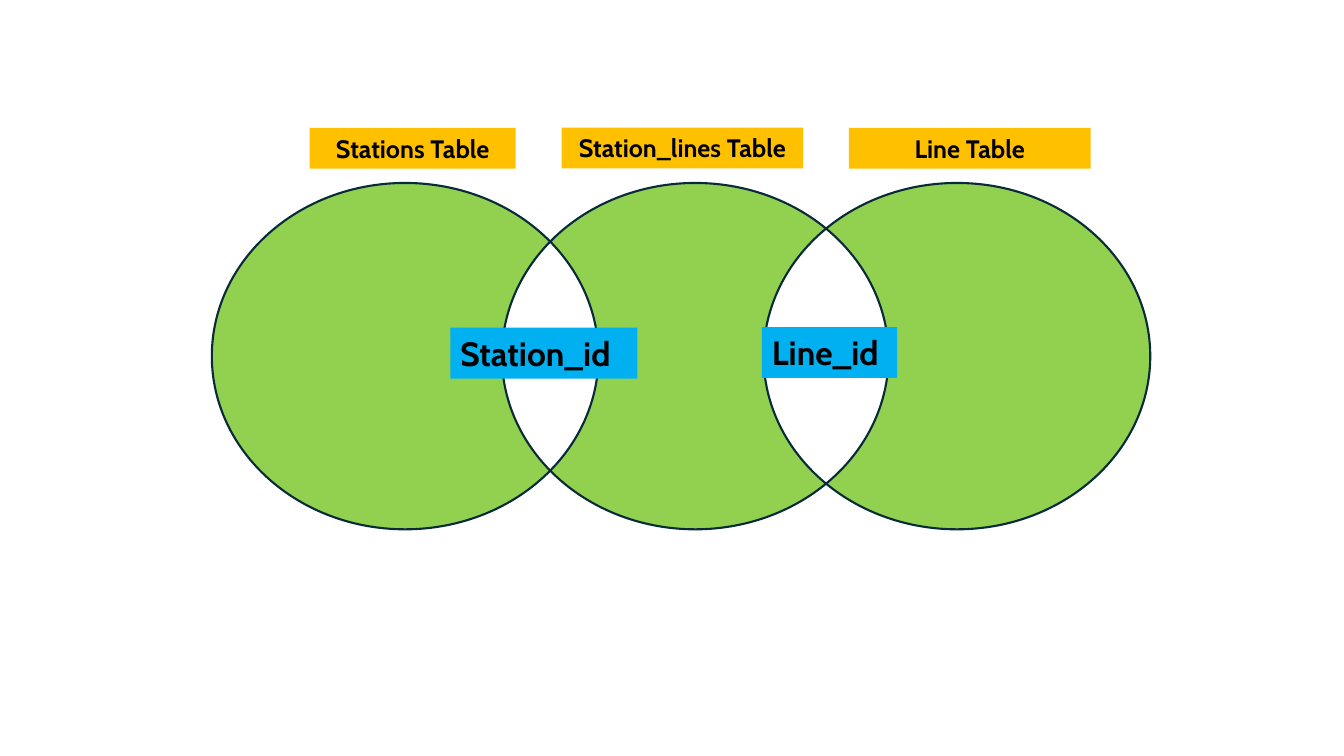
"""Builds a slide showing three joined tables as overlapping ellipses."""

import dataclasses
import itertools
import math

import pptx
import pptx.dml.color
import pptx.enum.text
import pptx.oxml.ns
import pptx.shapes.autoshape
import pptx.slide
import pptx.util

Point = tuple[int, int]


@dataclasses.dataclass(frozen=True)
class Theme:
    font: str = "Cabin"
    table_size: float = 18
    key_size: float = 24
    text: str = "000000"
    table_fill: str = "FFC000"
    key_fill: str = "00B0F0"
    ellipse_fill: str = "92D050"
    ellipse_line: str = "092A39"
    line_width: float = 1.5


@dataclasses.dataclass(frozen=True)
class Label:
    text: str
    left: float
    top: float
    width: float
    height: float
    size: float
    fill: str
    align: pptx.enum.text.PP_ALIGN


THEME = Theme()
CENTERS_X = (289.4, 496.6, 683.5)
CENTER_Y = 254.4
RADIUS_X = 138.1
RADIUS_Y = 123.7
QUARTER = math.pi / 2

LEFT = pptx.enum.text.PP_ALIGN.LEFT
CENTER = pptx.enum.text.PP_ALIGN.CENTER
LABELS = (
    Label("Station_id", 321.7, 234.1, 133.6, 36.35, THEME.key_size, THEME.key_fill, LEFT),
    Label("Line_id", 544.3, 233.6, 96.5, 36.35, THEME.key_size, THEME.key_fill, LEFT),
    Label("Stations Table", 221.2, 91.4, 147.2, 29.1, THEME.table_size, THEME.table_fill, CENTER),
    Label("Station_lines Table", 401.2, 91.1, 172.5, 29.1, THEME.table_size, THEME.table_fill, CENTER),
    Label("Line Table", 606.4, 91.4, 172.6, 29.1, THEME.table_size, THEME.table_fill, CENTER),
)


def color(value: str) -> pptx.dml.color.RGBColor:
    return pptx.dml.color.RGBColor.from_string(value)


def rim_point(center_x: float, angle: float, handle: float = 0) -> Point:
    """Return a rim point, moved along its tangent by the handle length."""
    across = math.cos(angle) - handle * math.sin(angle)
    down = math.sin(angle) + handle * math.cos(angle)
    return pptx.util.Pt(center_x + RADIUS_X * across), pptx.util.Pt(CENTER_Y + RADIUS_Y * down)


def arc(center_x: float, start: float, end: float) -> list[Point]:
    """Return two handles and an end point for each curve, split at quarter turns."""
    quarters = [step * QUARTER for step in range(5)]
    low, high = min(start, end), max(start, end)
    inner = [angle for angle in quarters if low < angle < high]
    angles = [start, *(inner if start < end else reversed(inner)), end]
    points: list[Point] = []
    for begin, finish in itertools.pairwise(angles):
        handle = 4 / 3 * math.tan((finish - begin) / 4)
        points += [
            rim_point(center_x, begin, handle),
            rim_point(center_x, finish, -handle),
            rim_point(center_x, finish),
        ]
    return points


def crossing_angle(first_x: float, second_x: float) -> float:
    return math.acos((second_x - first_x) / 2 / RADIUS_X)


def contour(index: int) -> list[Point]:
    """Outline one ellipse without the parts its neighbours overlap."""
    center_x = CENTERS_X[index]
    left_angle = right_angle = 0.0
    left_notch: list[Point] = []
    right_notch: list[Point] = []
    if index > 0:
        left_x = CENTERS_X[index - 1]
        left_angle = crossing_angle(left_x, center_x)
        left_notch = arc(left_x, left_angle, -left_angle)
    if index < len(CENTERS_X) - 1:
        right_x = CENTERS_X[index + 1]
        right_angle = crossing_angle(center_x, right_x)
        right_notch = arc(right_x, math.pi + right_angle, math.pi - right_angle)
    start = rim_point(center_x, right_angle)
    lower = arc(center_x, right_angle, math.pi - left_angle)
    upper = arc(center_x, math.pi + left_angle, 2 * math.pi - right_angle)
    return [start, *lower, *left_notch, *upper, *right_notch]


def curve_outline(shape: pptx.shapes.autoshape.Shape) -> None:
    """Turn every three line segments into one cubic curve."""
    segments = shape.element.xpath(".//a:lnTo")
    for first, second, third in zip(segments[::3], segments[1::3], segments[2::3]):
        first.tag = pptx.oxml.ns.qn("a:cubicBezTo")
        for segment in (second, third):
            first.append(segment[0])
            segment.getparent().remove(segment)


def draw_ellipses(page: pptx.slide.Slide) -> None:
    first, *others = [contour(index) for index in range(len(CENTERS_X))]
    builder = page.shapes.build_freeform(*first[0])
    builder.add_line_segments(first[1:], close=True)
    for outline in others:
        builder.move_to(*outline[0])
        builder.add_line_segments(outline[1:], close=True)
    ellipses = builder.convert_to_shape()
    curve_outline(ellipses)
    ellipses.shadow.inherit = False
    ellipses.fill.solid()
    ellipses.fill.fore_color.rgb = color(THEME.ellipse_fill)
    ellipses.line.color.rgb = color(THEME.ellipse_line)
    ellipses.line.width = pptx.util.Pt(THEME.line_width)


def draw_label(page: pptx.slide.Slide, label: Label) -> None:
    bounds = (label.left, label.top, label.width, label.height)
    box = page.shapes.add_textbox(*(pptx.util.Pt(length) for length in bounds))
    box.fill.solid()
    box.fill.fore_color.rgb = color(label.fill)
    frame = box.text_frame
    frame.word_wrap = True
    frame.auto_size = pptx.enum.text.MSO_AUTO_SIZE.SHAPE_TO_FIT_TEXT
    frame.text = label.text
    para = frame.paragraphs[0]
    para.alignment = label.align
    font = para.runs[0].font
    font.name = THEME.font
    font.size = pptx.util.Pt(label.size)
    font.bold = True
    font.color.rgb = color(THEME.text)


def main() -> None:
    deck = pptx.Presentation()
    deck.slide_width = pptx.util.Pt(960)
    deck.slide_height = pptx.util.Pt(540)
    page = deck.slides.add_slide(deck.slide_layouts.get_by_name("Blank"))
    draw_ellipses(page)
    for label in LABELS:
        draw_label(page, label)
    deck.save("out.pptx")


if __name__ == "__main__":
    main()
